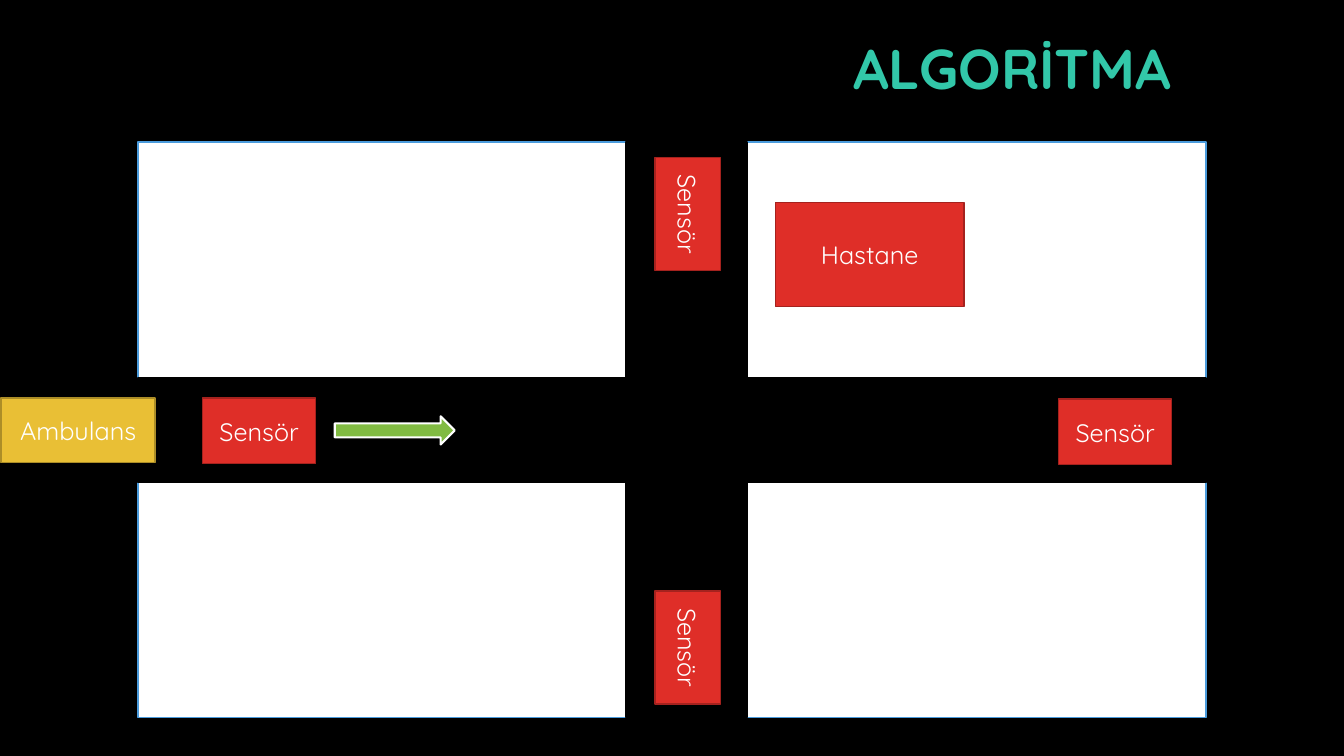
from pptx import Presentation
from pptx.dml.color import RGBColor
from pptx.enum.shapes import MSO_SHAPE
from pptx.enum.text import MSO_ANCHOR, MSO_AUTO_SIZE, PP_ALIGN
from pptx.util import Inches, Pt

RECTANGLE = MSO_SHAPE.RECTANGLE
RIGHT_ARROW = MSO_SHAPE.RIGHT_ARROW
MIDDLE = MSO_ANCHOR.MIDDLE
NO_AUTOFIT = MSO_AUTO_SIZE.NONE
CENTER = PP_ALIGN.CENTER
RIGHT = PP_ALIGN.RIGHT

BLACK = RGBColor(0x00, 0x00, 0x00)
WHITE = RGBColor(0xFF, 0xFF, 0xFF)
TEAL = RGBColor(0x32, 0xC7, 0xA9)
BLUE = RGBColor(0x4A, 0x9B, 0xDC)
RED = RGBColor(0xDF, 0x2E, 0x28)
DARK_RED = RGBColor(0xA5, 0x22, 0x1E)
YELLOW = RGBColor(0xE9, 0xBF, 0x35)
DARK_YELLOW = RGBColor(0xAC, 0x8D, 0x27)
GREEN = RGBColor(0x81, 0xBB, 0x42)

MAP_LEFT, MAP_TOP, MAP_WIDTH, MAP_HEIGHT = 1.37, 1.41, 10.59, 5.71
SENSOR_SIZE = (1.12, 0.65)
SENSORS = [
    (2.01, 3.95, 0),
    (6.26, 6.1, 90),
    (6.26, 1.8, 90),
    (10.5, 3.96, 0),
]


class SlideBuilder:
    font_name = "Quicksand"
    title_size = Pt(40)
    label_size = Pt(18)

    def __init__(self, presentation):
        self.slide = presentation.slides.add_slide(presentation.slide_layouts[5])
        background = self.slide.background.fill
        background.solid()
        background.fore_color.rgb = BLACK

    def set_text(self, shape, text, size, color, alignment, bold=False):
        frame = shape.text_frame
        frame.word_wrap = True
        frame.auto_size = NO_AUTOFIT
        frame.vertical_anchor = MIDDLE
        paragraph = frame.paragraphs[0]
        paragraph.text = text
        paragraph.alignment = alignment
        paragraph.font.name = self.font_name
        paragraph.font.size = size
        paragraph.font.bold = bold
        paragraph.font.color.rgb = color
        return paragraph

    def title(self, text, left, top, width, height):
        title = self.slide.shapes.title
        title.left, title.top = Inches(left), Inches(top)
        title.width, title.height = Inches(width), Inches(height)
        paragraph = self.set_text(title, text, self.title_size, TEAL, RIGHT, bold=True)
        paragraph.line_spacing = 0.9

    def block(self, left, top, width, height, fill, line, kind=RECTANGLE, line_width=1):
        shape = self.slide.shapes.add_shape(
            kind, Inches(left), Inches(top), Inches(width), Inches(height)
        )
        shape.shadow.inherit = False
        shape.fill.solid()
        shape.fill.fore_color.rgb = fill
        shape.line.color.rgb = line
        shape.line.width = Pt(line_width)
        return shape

    def label(self, text, left, top, width, height, fill, line, rotation=0):
        shape = self.block(left, top, width, height, fill, line)
        shape.rotation = rotation
        self.set_text(shape, text, self.label_size, WHITE, CENTER)


def main():
    presentation = Presentation()
    presentation.slide_width = Inches(13.33)
    presentation.slide_height = Inches(7.5)
    builder = SlideBuilder(presentation)

    builder.title("ALGORİTMA", 2.3, 0, 9.42, 1.41)
    builder.block(MAP_LEFT, MAP_TOP, MAP_WIDTH, MAP_HEIGHT, WHITE, BLUE)
    builder.block(MAP_LEFT, 3.75, MAP_WIDTH, 1.04, BLACK, BLACK)
    builder.block(6.21, MAP_TOP, 1.2, MAP_HEIGHT, BLACK, BLACK)
    builder.label("Hastane", 7.69, 2.01, 1.87, 1.03, RED, DARK_RED)
    builder.label("Ambulans", 0.01, 3.95, 1.53, 0.64, YELLOW, DARK_YELLOW)
    for left, top, rotation in SENSORS:
        builder.label("Sensör", left, top, *SENSOR_SIZE, RED, DARK_RED, rotation)
    builder.block(3.32, 4.13, 1.19, 0.28, GREEN, WHITE, RIGHT_ARROW, 1.5)

    presentation.save("out.pptx")


if __name__ == "__main__":
    main()
